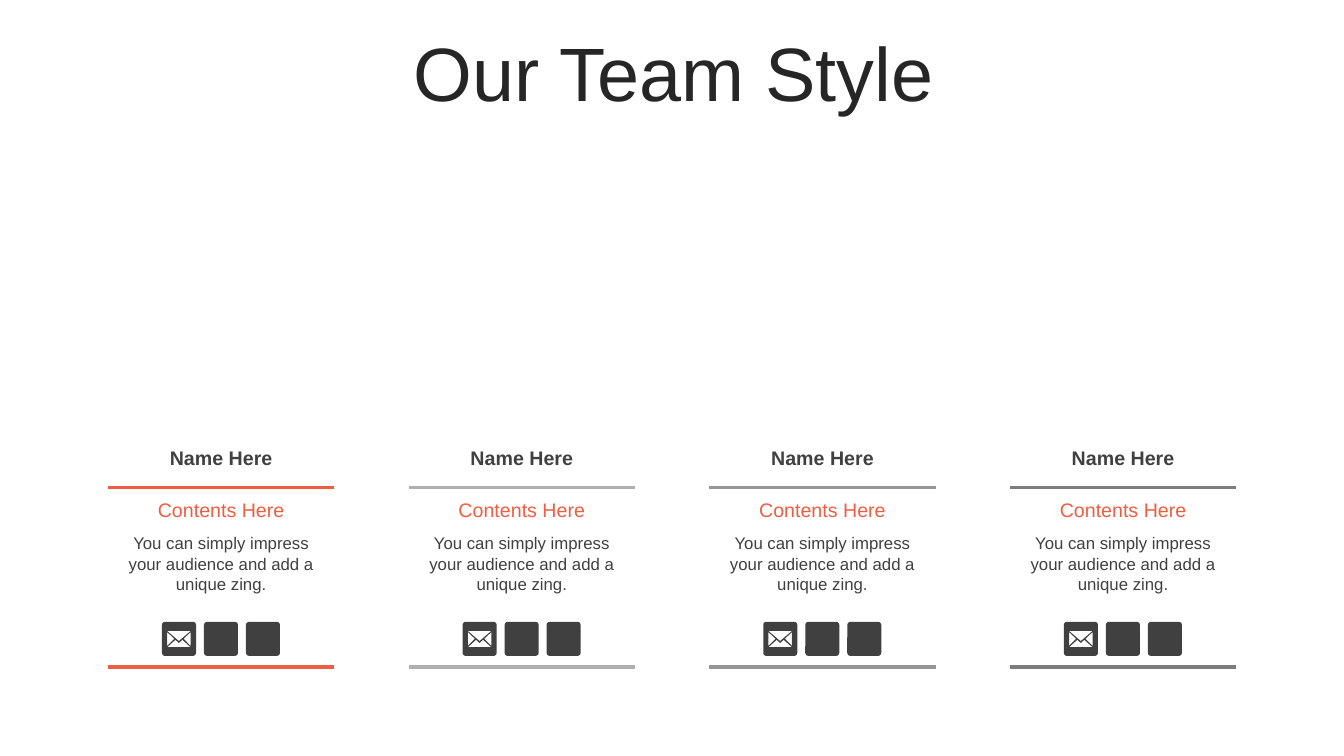
import math

from pptx import Presentation
from pptx import util as u
from pptx.dml.color import RGBColor
from pptx.enum import shapes, text
from pptx.oxml.ns import qn
from lxml import etree

COLORS = {
    "title": "262626",
    "dark": "404040",
    "accent": "EF5E42",
    "light_gray": "AFAFAF",
    "mid_gray": "969696",
    "deep_gray": "7D7D7D",
}
FORMATS = {
    "title": {"size": u.Pt(54)},
    "name": {"size": u.Pt(14), "bold": True},
    "heading": {"size": u.Pt(14)},
    "body": {"size": u.Pt(12)},
}


def rgb(name):
    return RGBColor.from_string(COLORS[name])


class TeamSlide:
    """Holds the font and the current slide; all lengths are in points."""

    def __init__(self, prs, font="Arial"):
        self.s = prs.slides.add_slide(prs.slide_layouts[6])
        self.font = font

    def label(self, words, x, y, w, h, style, color, middle=True, line_spacing=None):
        sp = self.s.shapes.add_textbox(u.Pt(x), u.Pt(y), u.Pt(w), u.Pt(h))
        tf = sp.text_frame
        tf.word_wrap = True
        if middle:
            tf.vertical_anchor = text.MSO_ANCHOR.MIDDLE
        else:
            tf.auto_size = text.MSO_AUTO_SIZE.SHAPE_TO_FIT_TEXT
        p = tf.paragraphs[0]
        p.alignment = text.PP_ALIGN.CENTER
        p.line_spacing = line_spacing
        r = p.add_run()
        r.text = words
        r.font.name = self.font
        for key, value in FORMATS[style].items():
            setattr(r.font, key, value)
        r.font.color.rgb = rgb(color)

    def rule(self, x, y, w, color):
        line = self.s.shapes.add_connector(
            shapes.MSO_CONNECTOR.STRAIGHT, u.Pt(x), u.Pt(y), u.Pt(x + w), u.Pt(y))
        line.line.color.rgb = rgb(color)
        line.line.width = u.Pt(2.25)
        etree.SubElement(line._element.spPr, qn("a:effectLst"))

    def paint(self, sp, color):
        sp.shadow.inherit = False
        sp.fill.solid()
        sp.fill.fore_color.rgb = rgb(color)
        sp.line.fill.background()

    def tile(self, x, y, size, radius, color):
        sp = self.s.shapes.add_shape(
            shapes.MSO_SHAPE.ROUNDED_RECTANGLE, u.Pt(x), u.Pt(y), u.Pt(size), u.Pt(size))
        sp.adjustments[0] = radius / size
        self.paint(sp, color)

    def cutout(self, x, y, contours, color):
        """Draw the first contour as the outline and the others as holes."""
        fb = None
        for contour in contours:
            start, *rest = [(u.Pt(x + dx), u.Pt(y + dy)) for dx, dy in contour]
            if fb is None:
                fb = self.s.shapes.build_freeform(*start, scale=1.0)
            else:
                fb.move_to(*start)
            fb.add_line_segments(rest, close=True)
        self.paint(fb.convert_to_shape(), color)


def rounded_square(size, radius, steps=6):
    """Corner points of a rounded square, clockwise from the right side."""
    points = []
    corners = [(size - radius, size - radius), (radius, size - radius),
               (radius, radius), (size - radius, radius)]
    for quarter, (cx, cy) in enumerate(corners):
        for step in range(steps + 1):
            angle = (quarter + step / steps) * math.pi / 2
            points.append((cx + radius * math.cos(angle), cy + radius * math.sin(angle)))
    return points


# Layout
COLUMN_LEFT, COLUMN_PITCH, COLUMN_W = 77.2, 214.75, 161.6
ICON_LEFT, ICON_PITCH, ICON_TOP, ICON_SIZE, ICON_RADIUS = 38.5, 30, 444.2, 24.3, 2.2
RULE_COLORS = ["accent", "light_gray", "mid_gray", "deep_gray"]

ENVELOPE = [
    rounded_square(ICON_SIZE, ICON_RADIUS),
    [(3.7, 6.5), (12.1, 13.7), (20.5, 6.5)],
    [(3.7, 7.3), (3.7, 17.2), (8.8, 12.1)],
    [(20.5, 7.3), (15.4, 12.1), (20.5, 17.2)],
    [(9.6, 12.8), (12.1, 15.1), (14.6, 12.8), (20.5, 18.1), (3.7, 18.1)],
]


def main():
    prs = Presentation()
    prs.slide_width, prs.slide_height = u.Pt(960), u.Pt(540)
    team = TeamSlide(prs)

    # Title
    team.label("Our Team Style", 25.4, 26.6, 911.5, 57, "title", "title", line_spacing=0.9)

    # Team members
    for i, color in enumerate(RULE_COLORS):
        x = COLUMN_LEFT + i * COLUMN_PITCH
        for y in (348.4, 476.4):
            team.rule(x, y, COLUMN_W, color)
        team.label("Name Here", x + 1.2, 317.5, 159.2, 19.4, "name", "dark")
        team.label("Contents Here", x, 351.4, COLUMN_W, 25.2, "heading", "accent")
        team.label("You can simply impress your audience and add a unique zing.",
                   x + 1.2, 377.3, 159.2, 51, "body", "dark", middle=False)

        # Contact icons: mail, then two plain tiles
        left = x + ICON_LEFT
        team.cutout(left, ICON_TOP, ENVELOPE, "dark")
        for n in (1, 2):
            team.tile(left + n * ICON_PITCH, ICON_TOP, ICON_SIZE, ICON_RADIUS, "dark")

    prs.save("out.pptx")


if __name__ == "__main__":
    main()
